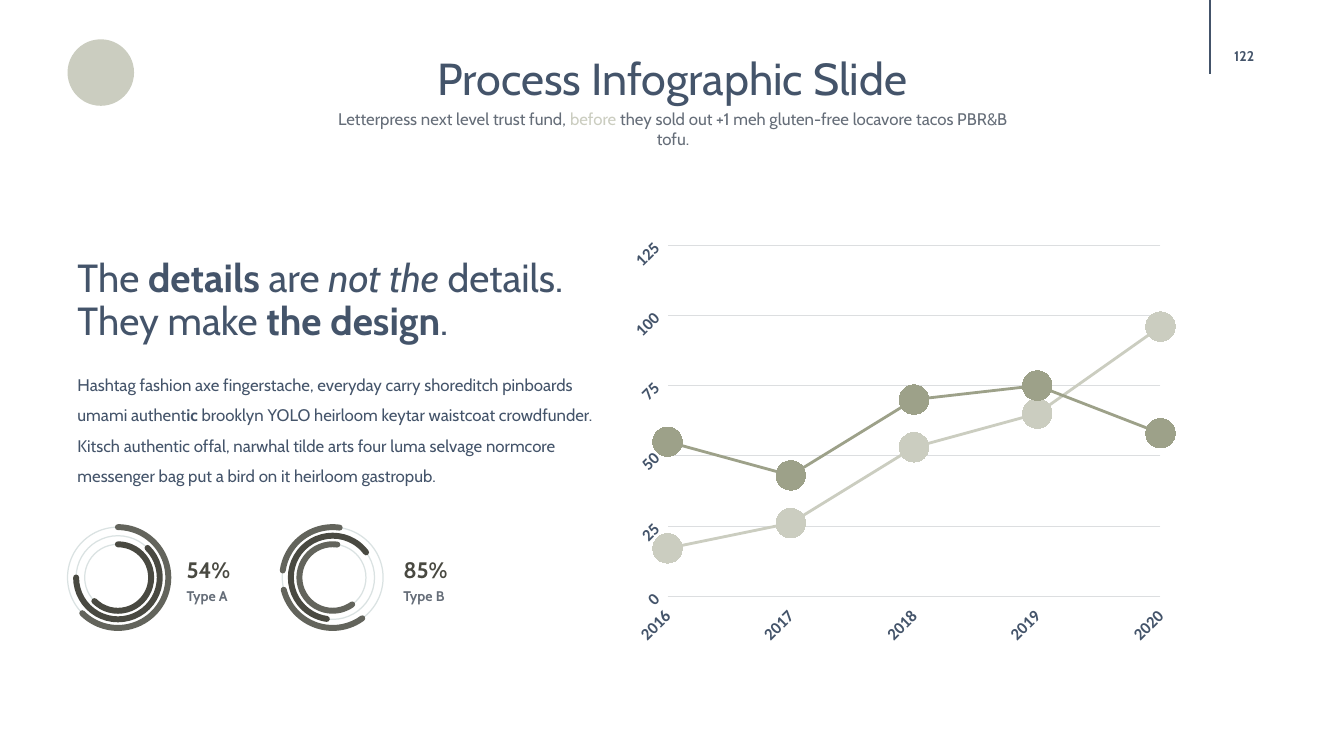
from lxml import etree
from pptx import Presentation
from pptx.chart.data import CategoryChartData
from pptx.dml.color import RGBColor
from pptx.enum import chart as ch, shapes as sh, text as tx
from pptx.oxml import ns, parse_xml
from pptx.util import Inches, Pt

NAVY, GRAY, PALE, SAGE = "44546A", "656D78", "CBCDC0", "9DA189"
DARK, MID, RING, GRID = "494941", "63645C", "DAE2E2", "DCDEE0"
RADII = (0.5, 0.415, 0.33)
GAUGES = [
    (1.17, 1.85, "54%", "Type A",
     [(0, 270, 135, MID), (1, 315, 180, DARK), (2, 270, 135, DARK)]),
    (3.3, 4, "85%", "Type B",
     [(0, 188, 278, MID), (0, 54, 166, MID), (1, 98, 323, DARK), (2, 54, 278, MID)]),
]
SERIES = [
    ("Series 1", (17, 26, 53, 65, 96), PALE),
    ("Series 2", (55, 43, 70, 75, 58), SAGE),
]


def color(code):
    return RGBColor.from_string(code)


def style(font, size, code, bold=None, name="Cabin"):
    font.name, font.size, font.bold = name, Pt(size), bold
    font.color.rgb = color(code)


def stroke(line, code, width):
    line.color.rgb = color(code)
    line.width = Pt(width)


def label(slide, box, runs, size, code, bold=None, center=False,
          space=None, inset=True, middle=False):
    frame = slide.shapes.add_textbox(*map(Inches, box)).text_frame
    frame.word_wrap = True
    if not inset:
        frame.margin_left = frame.margin_right = 0
        frame.margin_top = frame.margin_bottom = 0
    if middle:
        frame.vertical_anchor = tx.MSO_ANCHOR.MIDDLE
    para = frame.paragraphs[0]
    if center:
        para.alignment = tx.PP_ALIGN.CENTER
    if space:
        para.line_spacing = space
    style(para.font, size, code, bold)
    for words, look in runs:
        run = para.add_run()
        run.text = words
        if look == "b":
            run.font.bold = True
        elif look == "i":
            run.font.italic = True
        elif look:
            run.font.color.rgb = color(look)


def round_shape(slide, kind, x, y, radius):
    shape = slide.shapes.add_shape(
        kind, *map(Inches, (x - radius, y - radius, 2 * radius, 2 * radius)))
    shape.shadow.inherit = False
    return shape


def arc(slide, x, y, radius, start, end, code):
    shape = round_shape(slide, sh.MSO_SHAPE.ARC, x, y, radius)
    shape.adjustments[0] = start * 0.6
    shape.adjustments[1] = end * 0.6
    shape.fill.background()
    stroke(shape.line, code, 4.25)
    shape.line._get_or_add_ln().set("cap", "rnd")


def gauge(slide, x, left, value, name, arcs):
    y = 5.73
    for radius in RADII:
        ring = round_shape(slide, sh.MSO_SHAPE.OVAL, x, y, radius)
        ring.fill.background()
        stroke(ring.line, RING, 0.88)
    for index, start, end, code in arcs:
        arc(slide, x, y, RADII[index], start, end, code)
    label(slide, (left, 5.55, 0.49, 0.29), [(value, "")], 16, DARK, True,
          space=0.9, inset=False)
    label(slide, (left, 5.85, 0.49, 0.23), [(name, "")], 10, GRAY, True,
          space=0.9, inset=False)


def set_axis(axis):
    axis.major_tick_mark = axis.minor_tick_mark = ch.XL_TICK_MARK.NONE
    style(axis.tick_labels.font, 12, NAVY, True, "Calibri")
    axis._element.xpath("c:txPr/a:bodyPr")[0].set("rot", "-2700000")


def trend(slide):
    data = CategoryChartData()
    data.categories = [str(year) for year in range(2016, 2021)]
    for name, values, _ in SERIES:
        data.add_series(name, values)
    chart = slide.shapes.add_chart(
        ch.XL_CHART_TYPE.LINE_MARKERS,
        *map(Inches, (6.09, 2.2, 5.64, 4.32)), data).chart
    chart.has_legend = chart.has_title = False
    style(chart.font, 10, NAVY, name="Calibri")
    chart.plots[0].vary_by_categories = False

    cats, vals = chart.category_axis, chart.value_axis
    for axis in (cats, vals):
        set_axis(axis)
    cats.tick_label_position = ch.XL_TICK_LABEL_POSITION.LOW
    stroke(cats.format.line, GRID, 0.5)
    vals.format.line.fill.background()
    vals.minimum_scale, vals.maximum_scale, vals.major_unit = 0, 125, 25
    vals.tick_labels.number_format = "#,##0"
    vals.tick_labels.number_format_is_linked = False
    stroke(vals.major_gridlines.format.line, GRID, 0.5)

    node = vals._element
    for old in node.xpath("c:crossBetween"):
        node.remove(old)
    cross = etree.Element(ns.qn("c:crossBetween"), val="midCat")
    node.xpath("c:crosses")[0].addnext(cross)

    for series, (_, _, code) in zip(chart.plots[0].series, SERIES):
        series.smooth = False
        stroke(series.format.line, code, 2)
        mark = series.marker
        mark.style, mark.size = ch.XL_MARKER_STYLE.CIRCLE, 21
        mark.format.fill.solid()
        mark.format.fill.fore_color.rgb = color(code)
        mark.format.line.fill.background()

    area = chart._chartSpace.xpath("c:chart/c:plotArea")[0]
    for old in area.xpath("c:layout"):
        area.remove(old)
    area.insert(0, parse_xml(
        f'<c:layout {ns.nsdecls("c")}><c:manualLayout>'
        '<c:layoutTarget val="inner"/><c:xMode val="edge"/><c:yMode val="edge"/>'
        '<c:x val="0.094"/><c:y val="0.054"/><c:w val="0.867"/><c:h val="0.806"/>'
        '</c:manualLayout></c:layout>'))


def rule(slide, x, end):
    line = slide.shapes.add_connector(
        sh.MSO_CONNECTOR.STRAIGHT, Inches(x), 0, Inches(x), Inches(end))
    stroke(line.line, NAVY, 1)
    etree.SubElement(line._element.spPr, ns.qn("a:effectLst"))


def main():
    deck = Presentation()
    deck.slide_width, deck.slide_height = Inches(13.33), Inches(7.5)
    slide = deck.slides.add_slide(deck.slide_layouts[6])

    badge = round_shape(slide, sh.MSO_SHAPE.OVAL, 1, 0.72, 0.33)
    badge.fill.solid()
    badge.fill.fore_color.rgb = color(PALE)
    badge.line.fill.background()
    rule(slide, 12, 0.73)
    label(slide, (11.94, 0.36, 0.8, 0.4), [("122", "")], 10, NAVY, True,
          center=True, inset=False, middle=True)

    label(slide, (2.54, 0.45, 8.26, 0.64), [("Process Infographic Slide", "")],
          32, NAVY, center=True)
    label(slide, (3.2, 1.03, 6.95, 0.3), [
        ("Letterpress next level trust fund, ", ""), ("before", PALE),
        (" they sold out +1 meh gluten-free locavore tacos PBR&B tofu.", ""),
    ], 12, GRAY, center=True)
    trend(slide)
    label(slide, (0.67, 2.52, 5.46, 0.95), [
        ("The ", ""), ("details", "b"), (" are ", ""), ("not the ", "i"),
        ("details. They make ", ""), ("the design", "b"), (".", ""),
    ], 28, NAVY, space=0.9)
    label(slide, (0.67, 3.57, 5.32, 1.31), [
        ("Hashtag fashion axe fingerstache, everyday carry shoreditch pinboards "
         "umami authent", ""), ("ic ", "b"),
        ("brooklyn YOLO heirloom keytar waistcoat crowdfunder. Kitsch authentic "
         "offal, narwhal tilde arts four luma selvage normcore messenger bag put "
         "a bird on it heirloom gastropub.", ""),
    ], 12, NAVY, space=1.5)
    for item in GAUGES:
        gauge(slide, *item)
    deck.save("out.pptx")


if __name__ == "__main__":
    main()
